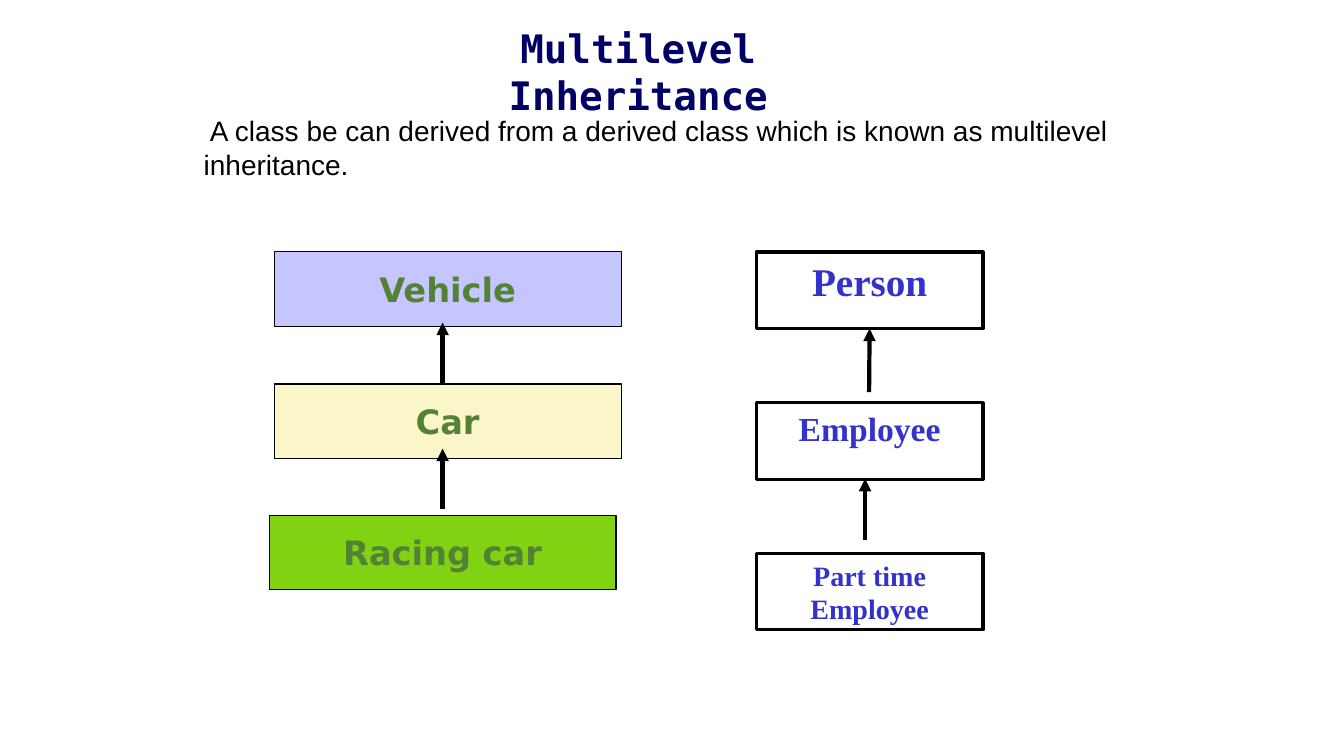
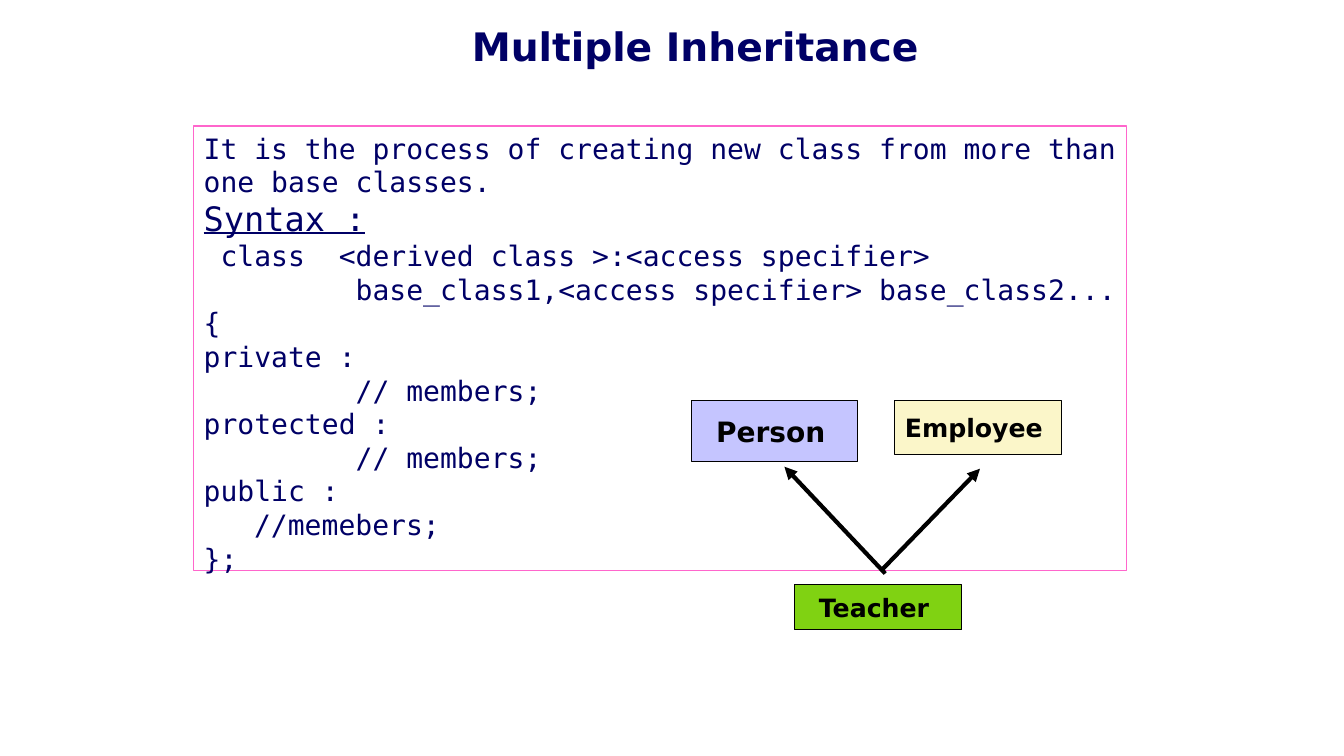
from lxml import etree
from pptx import Presentation
from pptx.dml.color import RGBColor
from pptx.enum.shapes import MSO_CONNECTOR, MSO_SHAPE
from pptx.enum.text import MSO_ANCHOR, MSO_AUTO_SIZE, PP_ALIGN
from pptx.oxml.ns import qn
from pptx.util import Inches, Pt

RECTANGLE = MSO_SHAPE.RECTANGLE
STRAIGHT = MSO_CONNECTOR.STRAIGHT
LEFT, CENTER = PP_ALIGN.LEFT, PP_ALIGN.CENTER
TOP, MIDDLE = MSO_ANCHOR.TOP, MSO_ANCHOR.MIDDLE
GROW = MSO_AUTO_SIZE.SHAPE_TO_FIT_TEXT
BOTTOM_SIDE = 2

# Shared colours and fonts
NAVY, BLACK, WHITE = "000066", "000000", "FFFFFF"
LILAC, CREAM, LIME = "C5C5FF", "FBF6C9", "80D212"
GREEN, BLUE, PINK = "548235", "3333CC", "FF66CC"
SANS, MONO, SERIF, ARIAL = "DejaVu Sans", "DejaVu Sans Mono", "Times New Roman", "Arial"

SYNTAX_HEADING = "Syntax :"
SYNTAX_LINES = [
    "It is the process of creating new class from more than one base classes.",
    SYNTAX_HEADING,
    " class  <derived class >:<access specifier>",
    "         base_class1,<access specifier> base_class2...",
    "{",
    "private :",
    "         // members;",
    "protected :",
    "         // members;",
    "public :",
    "\t//memebers;",
    "};",
]


def color(hex_text):
    return RGBColor.from_string(hex_text)


def place(shape, left, top, width, height):
    shape.left, shape.top = Inches(left), Inches(top)
    shape.width, shape.height = Inches(width), Inches(height)


def format_runs(paragraph, font_name, size, font_color, bold=False):
    for run in paragraph.runs:
        run.font.name = font_name
        run.font.size = Pt(size)
        run.font.bold = bold
        run.font.color.rgb = color(font_color)


def add_title(slide, text, box, font_name, alignment):
    title = slide.shapes.title
    place(title, *box)
    frame = title.text_frame
    frame.text = text
    frame.word_wrap = True
    frame.auto_size = GROW
    frame.vertical_anchor = MIDDLE
    frame.paragraphs[0].alignment = alignment
    format_runs(frame.paragraphs[0], font_name, 28, NAVY, bold=True)


def fill_body(slide, lines, box, font_name, font_color):
    """Write unbulleted lines into the body placeholder."""
    body = slide.placeholders[1]
    place(body, *box)
    frame = body.text_frame
    frame.text = "\n".join(lines)
    frame.word_wrap = True
    frame.auto_size = GROW
    for paragraph in frame.paragraphs:
        properties = paragraph._p.get_or_add_pPr()
        properties.set("marL", "0")
        properties.set("indent", "0")
        etree.SubElement(properties, qn("a:buNone"))
        paragraph.space_before = Pt(0)
        format_runs(paragraph, font_name, 20, font_color)
    return body


def add_class_box(slide, text, box, fill, font, line_width=0.75,
                  anchor=MIDDLE, right_inset=0.1):
    shape = slide.shapes.add_shape(RECTANGLE, 0, 0, 0, 0)
    place(shape, *box)
    shape.shadow.inherit = False
    shape.fill.solid()
    shape.fill.fore_color.rgb = color(fill)
    shape.line.color.rgb = color(BLACK)
    shape.line.width = Pt(line_width)
    frame = shape.text_frame
    frame.text = text
    frame.word_wrap = True
    frame.vertical_anchor = anchor
    frame.margin_right = Inches(right_inset)
    frame.paragraphs[0].alignment = CENTER
    format_runs(frame.paragraphs[0], *font, bold=True)
    return shape


def add_arrow(slide, start, end, parent=None):
    """Draw an arrow, joined to the bottom of the parent box if given."""
    points = [Inches(value) for value in (*start, *end)]
    arrow = slide.shapes.add_connector(STRAIGHT, *points)
    arrow.line.color.rgb = color(BLACK)
    arrow.line.width = Pt(3)
    line = arrow.line._get_or_add_ln()
    etree.SubElement(line, qn("a:tailEnd"), type="triangle")
    etree.SubElement(arrow._element.spPr, qn("a:effectLst"))
    if parent is not None:
        arrow.end_connect(parent, BOTTOM_SIDE)


def build_multilevel(slide):
    add_title(slide, "Multilevel Inheritance", (4.08, 0.42, 4.5, 0.57), MONO, CENTER)
    fill_body(
        slide,
        [" A class be can derived from a derived class which is known as multilevel inheritance."],
        (1.92, 1.08, 9.33, 0.77), ARIAL, BLACK)

    # Vehicle chain
    for text, left, top, fill in [("Vehicle", 2.72, 2.5, LILAC),
                                  ("Car", 2.72, 3.81, CREAM),
                                  ("Racing car", 2.67, 5.11, LIME)]:
        add_class_box(slide, text, (left, top, 3.44, 0.74), fill, (SANS, 24, GREEN))
    for start_y, end_y in [(3.81, 3.2), (5.05, 4.45)]:
        add_arrow(slide, (4.39, start_y), (4.39, end_y))

    # Person chain
    people = [("Person", 28), ("Employee", 24), ("Part time Employee", 20)]
    boxes = [
        add_class_box(slide, text, (7.5, 2.5 + index * 1.495, 2.25, 0.76), WHITE,
                      (SERIF, size, BLUE), line_width=2.25, anchor=TOP)
        for index, (text, size) in enumerate(people)
    ]
    add_arrow(slide, (8.62, 3.89), (8.62, 3.28), boxes[0])
    add_arrow(slide, (8.58, 5.36), (8.58, 4.75))


def build_multiple(slide):
    add_title(slide, "Multiple Inheritance", (4.58, 0.17, 4.83, 0.57), SANS, LEFT)

    # Definition and syntax
    body = fill_body(slide, SYNTAX_LINES, (1.92, 1.25, 9.25, 4.51), MONO, NAVY)
    body.line.color.rgb = color(PINK)
    body.line.width = Pt(0.75)
    heading = body.text_frame.paragraphs[SYNTAX_LINES.index(SYNTAX_HEADING)].runs[0]
    heading.font.size = Pt(24)
    heading.font.underline = True

    # Two base classes and the derived class
    for text, box, fill, size in [
            ("Person", (6.86, 3.97, 1.65, 0.61), LILAC, 20),
            ("Teacher", (7.88, 5.8, 1.66, 0.45), LIME, 18),
            ("Employee", (8.87, 3.97, 1.66, 0.54), CREAM, 18)]:
        add_class_box(slide, text, box, fill, (SANS, size, BLACK), right_inset=0.18)
    add_arrow(slide, (8.78, 5.69), (7.78, 4.63))
    add_arrow(slide, (8.75, 5.65), (9.72, 4.65))


def main():
    presentation = Presentation()
    presentation.slide_width = Inches(13.33)
    presentation.slide_height = Inches(7.5)
    title_and_content = presentation.slide_layouts[1]
    for build in (build_multilevel, build_multiple):
        build(presentation.slides.add_slide(title_and_content))
    presentation.save("out.pptx")


if __name__ == "__main__":
    main()
